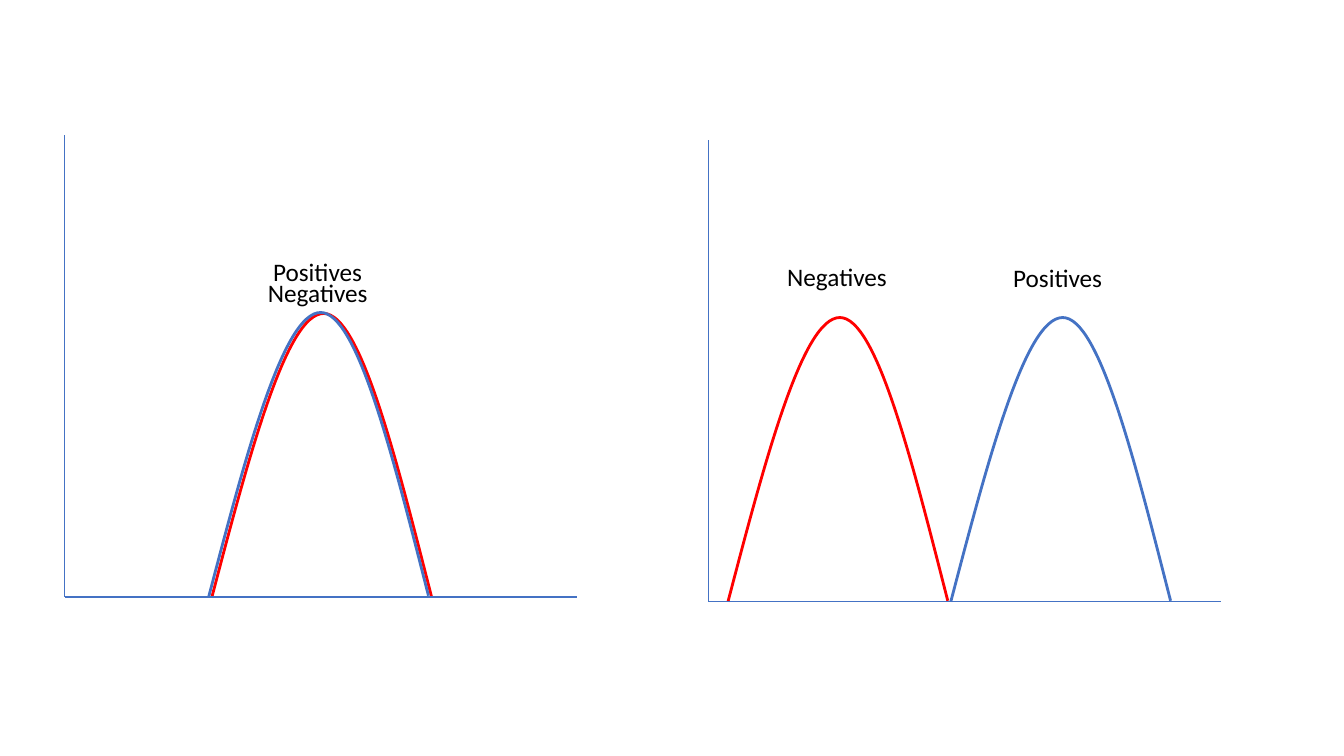
from lxml import etree
from pptx import Presentation
from pptx.dml.color import RGBColor
from pptx.enum.shapes import MSO_CONNECTOR
from pptx.enum.text import MSO_AUTO_SIZE
from pptx.oxml.ns import qn
from pptx.util import Inches, Pt

RED = RGBColor(0xFF, 0x00, 0x00)
BLUE = RGBColor(0x44, 0x72, 0xC4)
BLACK = RGBColor(0x00, 0x00, 0x00)

AXIS_LENGTH = 5.08
AXIS_HEIGHT = 4.58
CURVE_HEIGHT = 2.82
CURVE_START = (0, CURVE_HEIGHT)
CURVE_SEGMENTS = [
    [(0.37, 1.41), (0.74, 0), (1.11, 0)],
    [(1.47, 0), (1.82, 1.4), (2.18, 2.81)],
]
LABEL_WIDTHS = {"Negatives": 1.26, "Positives": 1.15}
LABEL_HEIGHT = 0.4

CHARTS = [
    {
        "origin": (0.64, 5.92),
        "baseline_width": 1.25,
        "curves": [(2.1, 3.11, RED), (2.07, 3.1, BLUE)],
        "labels": [("Negatives", 2.56, 2.7), ("Positives", 2.61, 2.49)],
    },
    {
        "origin": (7.03, 5.97),
        "baseline_width": 1,
        "curves": [(7.22, 3.15, RED), (9.43, 3.15, BLUE)],
        "labels": [("Negatives", 7.71, 2.54), ("Positives", 9.95, 2.55)],
    },
]


def add_curve(slide, left, top, color):
    def place(point):
        return Inches(left + point[0]), Inches(top + point[1])

    builder = slide.shapes.build_freeform(*place(CURVE_START))
    builder.add_line_segments(
        [place(segment[-1]) for segment in CURVE_SEGMENTS], close=False
    )
    shape = builder.convert_to_shape()
    shape.shadow.inherit = False
    shape.fill.background()
    shape.line.color.rgb = color
    shape.line.width = Pt(2)
    lines = list(shape._element.iter(qn("a:lnTo")))
    for line, segment in zip(lines, CURVE_SEGMENTS):
        bezier = etree.Element(qn("a:cubicBezTo"))
        for x, y in segment:
            point = etree.SubElement(bezier, qn("a:pt"))
            point.set("x", str(Inches(x)))
            point.set("y", str(Inches(y)))
        line.getparent().replace(line, bezier)


def add_axis(slide, start, end, width):
    axis = slide.shapes.add_connector(
        MSO_CONNECTOR.STRAIGHT, *[Inches(value) for value in start + end]
    )
    axis.line.color.rgb = BLUE
    axis.line.width = Pt(width)
    etree.SubElement(axis._element.spPr, qn("a:effectLst"))


def add_label(slide, words, left, top):
    box = slide.shapes.add_textbox(
        Inches(left), Inches(top), Inches(LABEL_WIDTHS[words]), Inches(LABEL_HEIGHT)
    )
    frame = box.text_frame
    frame.word_wrap = False
    frame.auto_size = MSO_AUTO_SIZE.SHAPE_TO_FIT_TEXT
    frame.text = words
    font = frame.paragraphs[0].font
    font.name = "Calibri"
    font.size = Pt(18)
    font.color.rgb = BLACK


def main():
    presentation = Presentation()
    presentation.slide_width = Inches(13.33)
    presentation.slide_height = Inches(7.5)
    slide = presentation.slides.add_slide(presentation.slide_layouts[6])
    for chart in CHARTS:
        x, y = chart["origin"]
        for curve in chart["curves"]:
            add_curve(slide, *curve)
        add_axis(slide, (x, y), (x + AXIS_LENGTH, y), chart["baseline_width"])
        add_axis(slide, (x, y - AXIS_HEIGHT), (x, y), 1)
        for label in chart["labels"]:
            add_label(slide, *label)
    presentation.save("out.pptx")


if __name__ == "__main__":
    main()
